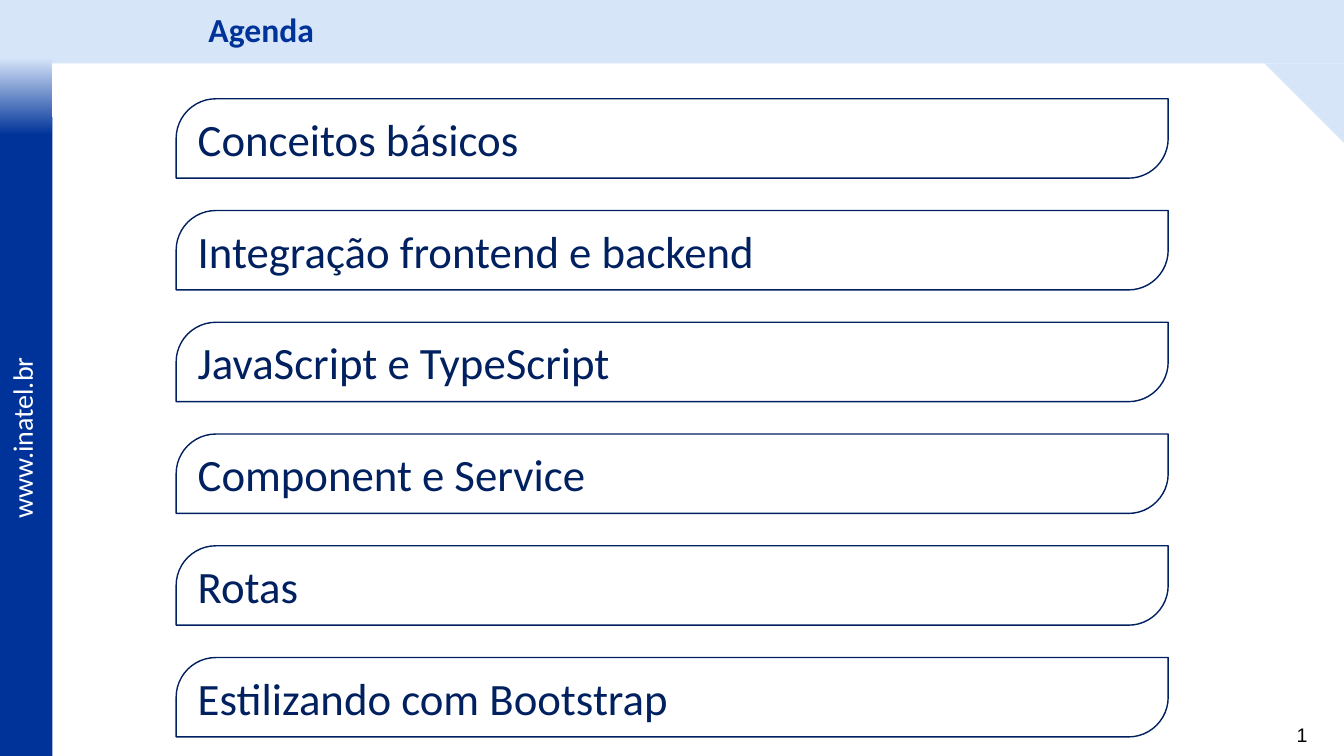
from lxml import etree
from pptx import Presentation
from pptx.dml.color import RGBColor
from pptx.enum.shapes import MSO_SHAPE
from pptx.enum.text import MSO_ANCHOR, MSO_AUTO_SIZE, PP_ALIGN
from pptx.oxml.ns import qn
from pptx.util import Cm, Pt

RECTANGLE = MSO_SHAPE.RECTANGLE
RIGHT_TRIANGLE = MSO_SHAPE.RIGHT_TRIANGLE
ROUND_DIAGONAL = MSO_SHAPE.ROUND_2_DIAG_RECTANGLE
MIDDLE = MSO_ANCHOR.MIDDLE
LEFT, RIGHT = PP_ALIGN.LEFT, PP_ALIGN.RIGHT
NO_AUTOFIT = MSO_AUTO_SIZE.NONE

PALE, BLUE, NAVY, WHITE, BLACK = "D7E5F9", "003399", "002060", "FFFFFF", "000000"
PAGE_WIDTH, PAGE_HEIGHT = 33.87, 19.05
BAND_HEIGHT, SIDEBAR_WIDTH = 1.6, 1.32

TOPICS = [
    "Conceitos básicos",
    "Integração frontend e backend",
    "JavaScript e TypeScript",
    "Component e Service",
    "Rotas",
    "Estilizando com Bootstrap",
]


def color(hex_code):
    return RGBColor.from_string(hex_code)


def lengths(box):
    return [Cm(value) for value in box]


def format_text(para, hex_code, **values):
    """Apply font values to a paragraph; Calibri unless a name is given."""
    for name, value in {"name": "Calibri", **values}.items():
        setattr(para.font, name, value)
    para.font.color.rgb = color(hex_code)


def add_panel(page, kind, box, fill, line=None):
    panel = page.shapes.add_shape(kind, *lengths(box))
    panel.shadow.inherit = False
    panel.fill.solid()
    panel.fill.fore_color.rgb = color(fill)
    if line:
        panel.line.color.rgb = color(line)
        panel.line.width = Pt(1)
    else:
        panel.line.fill.background()
    return panel


def add_label(page, box):
    label = page.shapes.add_textbox(*lengths(box))
    label.text_frame.word_wrap = True
    return label, label.text_frame.paragraphs[0]


def add_sidebar(page, box):
    left, top, width, height = box
    fade_height = 1.95
    add_panel(page, RECTANGLE, (left, top + 1.5, width, height - 1.5), BLUE)
    fade = add_panel(page, RECTANGLE, (left, top, width, fade_height), PALE)
    fade.fill.gradient()
    fade.fill.gradient_angle = 270
    for stop, hex_code in zip(fade.fill.gradient_stops, (PALE, BLUE)):
        stop.color.rgb = color(hex_code)

    label_width, label_height = 4.75, 1.1
    label, para = add_label(page, (left + width / 2 - label_width / 2 - 0.11,
                                   top + 8.94, label_width, label_height))
    label.rotation = 270
    para.text = "www.inatel.br"
    format_text(para, WHITE, size=Pt(20))


def add_header(page, box):
    left, top, width, height = box
    add_panel(page, RECTANGLE, box, PALE)
    corner = 2.0
    triangle = add_panel(page, RIGHT_TRIANGLE,
                         (left + width - corner, top + height, corner, corner), PALE)
    triangle.rotation = 180


def place_title(page, text, box):
    """Move the title placeholder into the box, in front of the header."""
    title = page.shapes.title
    title.left, title.top, title.width, title.height = lengths(box)
    frame = title.text_frame
    frame.text = text
    frame.auto_size = NO_AUTOFIT
    frame.vertical_anchor = MIDDLE
    para = frame.paragraphs[0]
    para.alignment = LEFT
    para.line_spacing = 0.9
    format_text(para, BLUE, size=Pt(24), bold=True)
    title._element.getparent().append(title._element)


def add_page_number(page, number, box):
    para = add_label(page, box)[1]
    para.alignment = RIGHT
    span = para.add_run()
    span.text = str(number)
    for name, value in {"name": "Arial", "size": Pt(14)}.items():
        setattr(span.font, name, value)
    span.font.color.rgb = color(BLACK)
    field = etree.Element(qn("a:fld"), type="slidenum",
                          id="{5B1D3C60-7A42-4E0F-9C11-2F6A8D3E4B10}")
    span._r.getparent().replace(span._r, field)
    field.extend(list(span._r))


def add_topics(page, topics, box):
    left, top, width, height = box
    item_height = 2.0
    pitch = (height - item_height) / (len(topics) - 1)
    for index, topic in enumerate(topics):
        item = add_panel(page, ROUND_DIAGONAL,
                         (left, top + index * pitch, width, item_height), WHITE, NAVY)
        item.adjustments[0] = 0.5
        item.adjustments[1] = 0
        frame = item.text_frame
        frame.text = topic
        frame.word_wrap = True
        frame.vertical_anchor = MIDDLE
        para = frame.paragraphs[0]
        para.alignment = LEFT
        format_text(para, NAVY, size=Pt(32))


def add_agenda_page(deck):
    page = deck.slides.add_slide(deck.slide_layouts[5])
    add_header(page, (0, 0, PAGE_WIDTH, BAND_HEIGHT))
    add_sidebar(page, (0, 1.45, SIDEBAR_WIDTH, PAGE_HEIGHT - 1.45))
    add_page_number(page, 2, (31.55, 18.08, 1.65, 0.86))
    place_title(page, "Agenda", (5, 0, PAGE_WIDTH - 5, BAND_HEIGHT))
    add_topics(page, TOPICS, (4.44, 2.49, 25, 16.08))


def main():
    deck = Presentation()
    deck.slide_width, deck.slide_height = Cm(PAGE_WIDTH), Cm(PAGE_HEIGHT)
    add_agenda_page(deck)
    deck.save("out.pptx")


if __name__ == "__main__":
    main()
